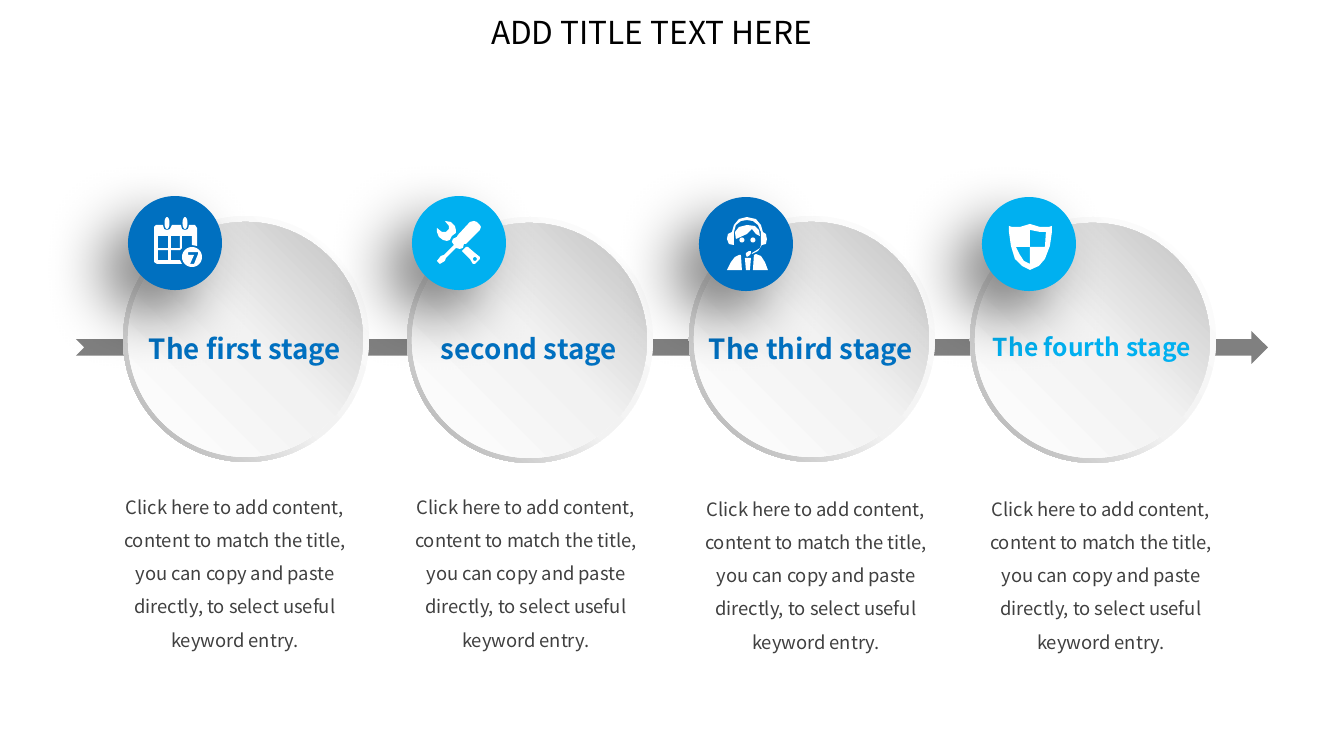
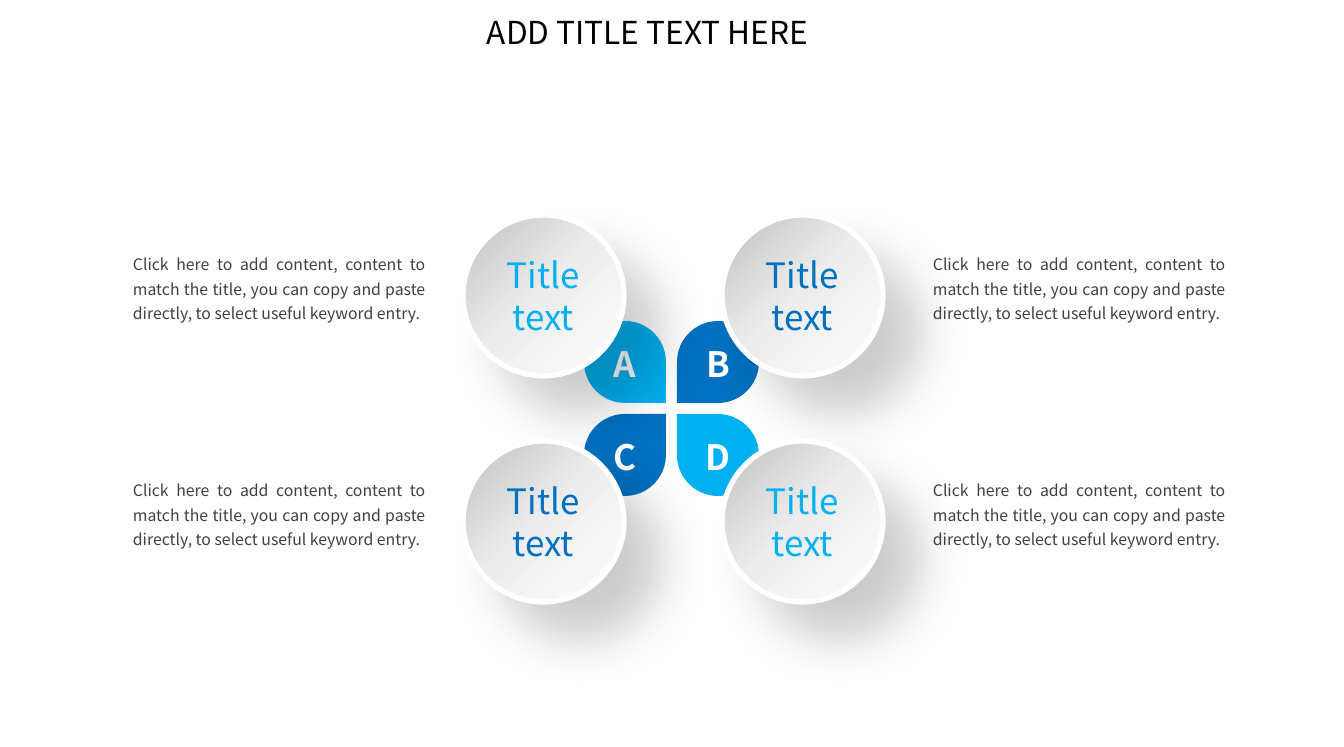
from dataclasses import dataclass
from itertools import product
from math import cos, pi, sin

from lxml.etree import SubElement as Sub
from pptx import Presentation
from pptx.dml.color import RGBColor as Rgb
from pptx.enum.shapes import MSO_SHAPE as Kind
from pptx.enum.text import MSO_ANCHOR as Anchor
from pptx.enum.text import MSO_AUTO_SIZE as Fit
from pptx.enum.text import PP_ALIGN as Align
from pptx.oxml.ns import qn
from pptx.util import Pt

PX = 914400 / 126.4
FINE = 10


def emu(*vals):
    return [round(v * PX) for v in vals]


@dataclass(frozen=True)
class Theme:
    font: str = "Noto Sans CJK SC"
    blue: str = "0070C0"
    sky: str = "00B0F0"
    white: str = "FFFFFF"
    black: str = "000000"
    ink: str = "404040"
    gray: str = "808080"
    rim: tuple = ((0, "FFFFFF"), (55, "F2F2F2"), (100, "A6A6A6"))
    face: tuple = ((0, "FFFFFF"), (51, "F2F2F2"), (100, "BFBFBF"))
    dome: tuple = ((0, "C0C0C0"), (49, "EDEDED"), (100, "FFFFFF"))
    head: float = 18
    stage: float = 15.8
    last: float = 14
    big: float = 19.9
    body: float = 10.5
    note: float = 9


class Deck:
    """Draw styled elements on the current slide, in pixels."""

    def __init__(self, theme, wide, high):
        self.theme = theme
        self.prs = Presentation()
        self.prs.slide_width, self.prs.slide_height = emu(wide, high)

    def page(self, title, left):
        self.slide = self.prs.slides.add_slide(self.prs.slide_layouts[5])
        self.shapes = self.slide.shapes
        head = self.shapes.title
        head.left, head.top, head.width, head.height = emu(left, 8, 362, 48)
        self.label(head, title, self.theme.head, self.theme.black,
                   align=Align.LEFT, pad=(9, 5))

    def lift(self):
        head = self.shapes.title.element
        head.getparent().append(head)

    def label(self, shape, text, size, color, bold=False, align=Align.CENTER,
              pad=None, gap=None, wrap=True, anchor=Anchor.TOP,
              fit=Fit.SHAPE_TO_FIT_TEXT):
        frame = shape.text_frame
        frame.word_wrap, frame.auto_size = wrap, fit
        frame.vertical_anchor = anchor
        if pad:
            frame.margin_left = frame.margin_right = emu(pad[0])[0]
            frame.margin_top = frame.margin_bottom = emu(pad[1])[0]
        para = frame.paragraphs[0]
        para.alignment = align
        if gap:
            para.line_spacing = gap
        run = para.add_run()
        run.text = text
        font = run.font
        font.name, font.size, font.bold = self.theme.font, Pt(size), bold
        font.color.rgb = Rgb.from_string(color)

    def text(self, box, text, size, color, **style):
        self.label(self.shapes.add_textbox(*emu(*box)), text, size, color, **style)

    def shape(self, kind, box, color, turn=0):
        shape = self.shapes.add_shape(kind, *emu(*box))
        shape.rotation = turn
        return self.paint(shape, color)

    def paint(self, shape, color):
        shape.shadow.inherit = False
        shape.fill.solid()
        shape.fill.fore_color.rgb = Rgb.from_string(color)
        shape.line.fill.background()
        return shape

    def blend(self, shape, stops, angle):
        shape.fill.gradient()
        shape.fill.gradient_angle = 360 - angle
        grad = shape.element.spPr.find(qn("a:gradFill"))
        group = grad.find(qn("a:gsLst"))
        for old in list(group):
            group.remove(old)
        for pos, color in stops:
            stop = Sub(group, qn("a:gs"), pos=str(pos * 1000))
            Sub(stop, qn("a:srgbClr"), val=color)

    def shade(self, shape, alpha, blur, dist, angle):
        group = shape.element.spPr.find(qn("a:effectLst"))
        outer = Sub(group, qn("a:outerShdw"), blurRad=str(Pt(blur)),
                    dist=str(Pt(dist)), dir=str(angle * 60000),
                    algn="ctr", rotWithShape="0")
        tint = Sub(outer, qn("a:srgbClr"), val=self.theme.black)
        Sub(tint, qn("a:alpha"), val=str(alpha * 1000))

    def icon(self, left, top, loops):
        loops = [[(x * FINE, y * FINE) for x, y in loop] for loop in loops]
        pen = self.shapes.build_freeform(*loops[0][0], scale=PX / FINE)
        for i, loop in enumerate(loops):
            if i:
                pen.move_to(*loop[0])
            pen.add_line_segments(loop[1:], close=True)
        self.paint(pen.convert_to_shape(*emu(left, top)), self.theme.white)


def oval(x, y, wide, high=None, count=24):
    high = high or wide
    steps = [2 * pi * i / count for i in range(count)]
    return [(x + wide * cos(a), y + high * sin(a)) for a in steps]


def rect(x, y, wide, high):
    return [(x, y), (x + wide, y), (x + wide, y + high), (x, y + high)]


DATE = [
    [(28, 29), (35, 29), (36, 33), (39, 34), (42, 33), (44, 29), (53, 29),
     (54, 33), (57, 34), (60, 33), (61, 29), (67, 29), (69, 32), (69, 50),
     (64, 49), (64, 40), (54, 40), (54, 52), (52, 54), (43, 54), (43, 64),
     (52, 64), (54, 68), (29, 68), (26, 66), (26, 31)],
    oval(39, 27, 2.5, 6), oval(57, 27, 2.5, 6),
    rect(30, 40, 10, 12), rect(43, 40, 9, 12), rect(30, 54, 10, 10),
    oval(64, 61, 10),
    [(60, 56), (70, 56), (70, 58), (66, 68), (62, 68), (66, 59), (60, 59)],
]
TOOLS = [
    [(54, 51), (50, 55), (58, 63), (61, 68), (63, 68), (68, 63), (68, 61),
     (63, 57), (56, 51)],
    oval(63, 63, 2),
    [(40, 40), (44, 37), (44, 34), (43, 30), (39, 26), (33, 25), (37, 30),
     (37, 33), (34, 36), (30, 36), (25, 32), (25, 36), (27, 41), (31, 44),
     (35, 45), (38, 44)],
    [(68, 29), (65, 26), (62, 25), (58, 26), (46, 39), (45, 41), (41, 43),
     (40, 46), (42, 49), (32, 59), (29, 60), (25, 65), (28, 68), (33, 65),
     (34, 62), (44, 52), (48, 53), (51, 52), (52, 48), (54, 48), (68, 34),
     (69, 31)],
]
AGENT = [
    [(48, 20), (40, 22), (35, 28), (33, 35), (29, 37), (28, 42), (30, 47),
     (35, 48), (35, 35), (37, 28), (42, 24), (48, 23), (54, 24), (59, 28),
     (62, 35), (62, 48), (61, 51), (58, 53), (53, 56), (53, 57), (59, 54),
     (63, 48), (67, 47), (68, 42), (67, 37), (64, 35), (62, 28), (57, 22)],
    [(48, 28), (40, 30), (36, 35), (37, 42), (48, 37), (53, 32), (57, 37),
     (61, 39), (60, 33), (56, 29)],
    oval(43, 43, 2.5), oval(54, 43, 2.5),
    [(50, 54), (47, 56), (47, 58), (48, 60), (51, 58), (52, 56), (52, 54)],
    [(57, 57), (55, 58), (54, 73), (69, 73), (66, 65), (62, 59)],
    [(40, 58), (36, 60), (32, 65), (28, 73), (43, 73), (42, 58)],
    [(46, 61), (47, 73), (51, 73), (52, 61)],
]
SHIELD = [
    [(30, 30), (38, 30), (48, 27), (58, 30), (67, 30), (70, 29), (70, 35),
     (68, 49), (63, 62), (57, 69), (48, 73), (40, 69), (33, 62), (29, 49),
     (27, 35), (27, 29)],
    [(48, 50), (63, 50), (64, 35), (58, 35), (48, 33)],
    [(48, 67), (48, 50), (34, 50), (38, 58), (42, 64)],
]

theme = Theme()
deck = Deck(theme, 1344, 747)
TITLE = "ADD TITLE TEXT HERE"
COPY = ("Click here to add content, content to match the title, "
        "you can copy and paste directly, to select useful keyword entry.")
STAGES = [
    ("The first stage", 123, 216, 128, 196, 112, 485, theme.blue, DATE),
    ("second stage", 407, 217, 412, 196, 403, 485, theme.sky, TOOLS),
    ("The third stage", 689, 216, 699, 197, 693, 487, theme.blue, AGENT),
    ("The fourth stage", 970, 217, 982, 197, 978, 487, theme.sky, SHIELD),
]

deck.page(TITLE, 482)
deck.shape(Kind.NOTCHED_RIGHT_ARROW, (76, 331, 1192, 33), theme.gray)
for name, x, y, bx, by, tx, ty, color, loops in STAGES:
    deck.text((tx, ty, 246, 163), COPY, theme.body, theme.ink,
              pad=(0, 0), gap=1.5)
    rim = deck.shape(Kind.DONUT, (x, y, 246, 246), theme.white)
    rim.adjustments[0] = 0.05
    deck.blend(rim, theme.rim, 135)
    face = deck.shape(Kind.OVAL, (x + 5, y + 6, 235, 235), theme.white)
    deck.blend(face, theme.face, 315)
    last = loops is SHIELD
    deck.text((x, 326, 244, 43 if last else 47), name,
              theme.last if last else theme.stage,
              theme.sky if last else theme.blue, bold=True, wrap=False)
    badge = deck.shape(Kind.OVAL, (bx, by, 94, 94), color)
    deck.shade(badge, 50, 35, 20, 135)
    deck.icon(bx, by, loops)
deck.lift()

deck.page(TITLE, 478)
for x, y in product((123, 923), (244, 470)):
    deck.text((x, y, 312, 107), COPY, theme.note, theme.ink,
              align=Align.JUSTIFY, pad=(10, 5), gap=1.3)
PETALS = [
    ("A", 0, 0, 90, theme.sky), ("B", 1, 0, 180, theme.blue),
    ("C", 0, 1, 0, theme.blue), ("D", 1, 1, 270, theme.sky),
]
for mark, col, row, turn, color in PETALS:
    x, y = 584 + 93 * col, 321 + 93 * row
    deck.shape(Kind.TEAR, (x, y, 82, 82), color, turn)
    tile = deck.shape(Kind.RECTANGLE, (x + 16, y + 14, 50, 56), color)
    deck.label(tile, mark, theme.big, theme.white, bold=True, wrap=False,
               anchor=Anchor.MIDDLE)
for mark, col, row, turn, color in PETALS:
    dome = deck.shape(Kind.OVAL, (463 + 259 * col, 215 + 226 * row, 161, 161),
                      color)
    deck.blend(dome, theme.dome, 45)
    dome.line.color.rgb = Rgb.from_string(theme.white)
    dome.line.width = Pt(3)
    deck.shade(dome, 20, 29, 29, 45)
    deck.label(dome, "Title text", theme.big, color, pad=(0, 5),
               anchor=Anchor.MIDDLE, fit=Fit.NONE)
deck.lift()

deck.prs.save("out.pptx")
